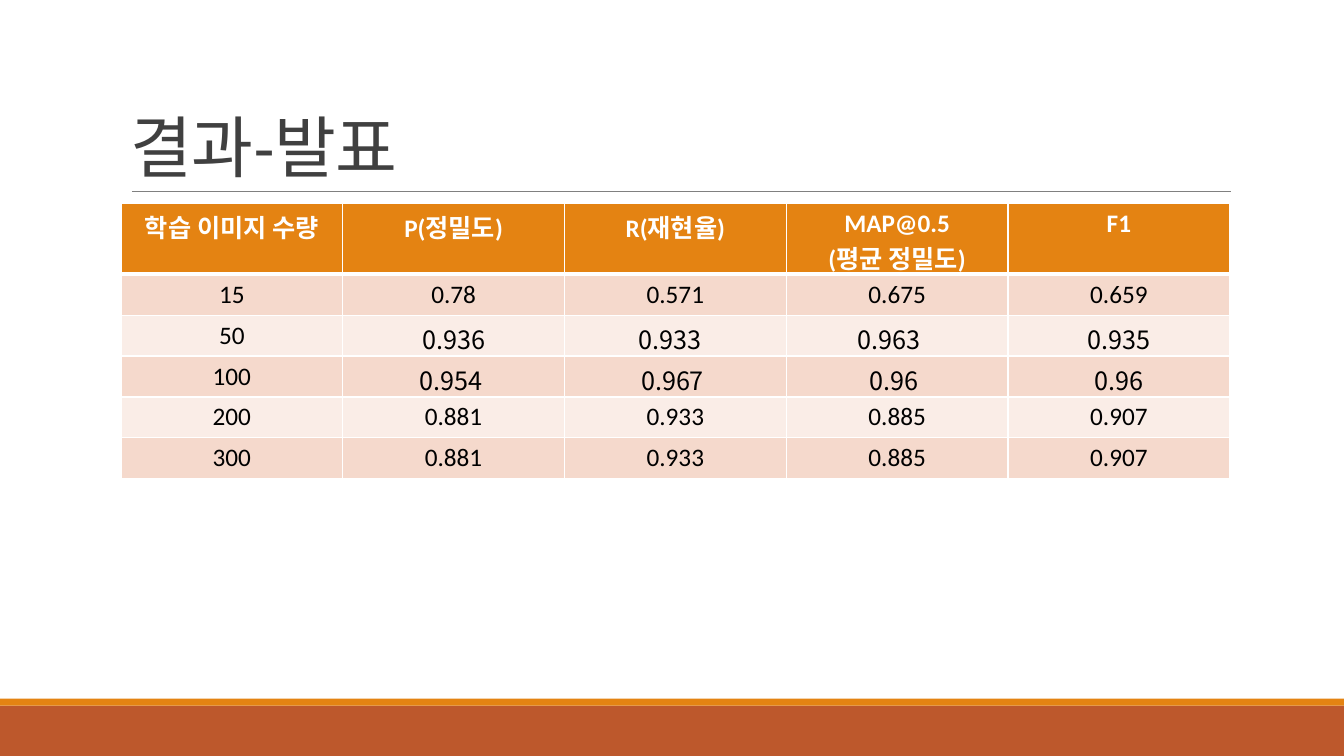
from lxml.etree import SubElement
from pptx import Presentation
from pptx.dml.color import RGBColor
from pptx.enum.shapes import MSO_CONNECTOR, MSO_SHAPE
from pptx.enum.text import MSO_ANCHOR, PP_ALIGN
from pptx.oxml.ns import qn
from pptx.util import Pt

TITLE = "결과-발표"
HEAD = ["학습 이미지 수량", "P(정밀도)", "R(재현율)",
        "MAP@0.5\n(평균 정밀도)", "F1"]
BODY = [
    ["15", "0.78", "0.571", "0.675", "0.659"],
    ["50", "0.936", "0.933", "0.963", "0.935"],
    ["100", "0.954", "0.967", "0.96", "0.96"],
    ["200", "0.881", "0.933", "0.885", "0.907"],
    ["300", "0.881", "0.933", "0.885", "0.907"],
]
LATIN, KOREAN = "Calibri", "Noto Sans CJK KR"
ORANGE, RUST, WHITE = "E48312", "BD582C", "FFFFFF"
BANDS = ["FAEDE7", "F5D9CC"]
BARS = [(504, 36, RUST), (499, 5, ORANGE)]
KOREAN_ROWS = (2, 3)
# Extra right margin, in points, by row and column
SHIFT = {(2, 2): 8, (2, 3): 12, (3, 1): 4, (3, 2): 4, (3, 3): 4}
WIDE, HIGH = 960, 540
LEFT, TOP, COL, ROW = 86.4, 145.5, 158.4, 29.2


def color(code):
    return RGBColor.from_string(code)


def style(para, size, code, face=LATIN, bold=False):
    font = para.font
    font.size, font.bold, font.name = Pt(size), bold, face
    font.color.rgb = color(code)
    SubElement(font._element, qn("a:ea"), typeface=KOREAN)


def border(cell, low):
    """Draw white cell edges; low is the bottom width in points."""
    props = cell._tc.get_or_add_tcPr()
    for side, width in zip("LRTB", (1, 1, 1, low)):
        line = SubElement(props, qn(f"a:ln{side}"), w=str(Pt(width)))
        fill = SubElement(line, qn("a:solidFill"))
        SubElement(fill, qn("a:srgbClr"), val=WHITE)


def add_bars(slide):
    for top, high, code in BARS:
        bar = slide.shapes.add_shape(
            MSO_SHAPE.RECTANGLE, 0, Pt(top), Pt(WIDE), Pt(high))
        bar.shadow.inherit = False
        bar.fill.solid()
        bar.fill.fore_color.rgb = color(code)
        bar.line.fill.background()


def add_title(slide):
    rule = slide.shapes.add_connector(
        MSO_CONNECTOR.STRAIGHT, Pt(94.3), Pt(136.8), Pt(879), Pt(136.8))
    rule.line.color.rgb = color("808080")
    rule.line.width = Pt(0.5)
    SubElement(rule._element.spPr, qn("a:effectLst"))
    box = slide.shapes.add_textbox(Pt(LEFT), Pt(22.6), Pt(792), Pt(114.2))
    frame = box.text_frame
    frame.word_wrap = True
    frame.vertical_anchor = MSO_ANCHOR.BOTTOM
    para = frame.paragraphs[0]
    para.text = TITLE
    para.line_spacing = 0.85
    style(para, 48, "404040")
    para.font._element.set("spc", "-50")


def add_grid(slide):
    rows = [HEAD] + BODY
    table = slide.shapes.add_table(
        len(rows), len(HEAD), Pt(LEFT), Pt(TOP),
        Pt(COL * len(HEAD)), Pt(ROW * len(rows))).table
    for r, row in enumerate(rows):
        head = r == 0
        face = KOREAN if r in KOREAN_ROWS else LATIN
        for c, text in enumerate(row):
            cell = table.cell(r, c)
            cell.text = text
            cell.margin_right = Pt(7.2 + SHIFT.get((r, c), 0))
            border(cell, 3 if head else 1)
            cell.fill.solid()
            cell.fill.fore_color.rgb = color(ORANGE if head else BANDS[r % 2])
            for para in cell.text_frame.paragraphs:
                para.alignment = PP_ALIGN.CENTER
                style(para, 18, WHITE if head else "000000",
                      face if c else LATIN, head)


def main():
    deck = Presentation()
    deck.slide_width, deck.slide_height = Pt(WIDE), Pt(HIGH)
    slide = deck.slides.add_slide(deck.slide_layouts[6])
    add_bars(slide)
    add_title(slide)
    add_grid(slide)
    deck.save("out.pptx")


if __name__ == "__main__":
    main()
